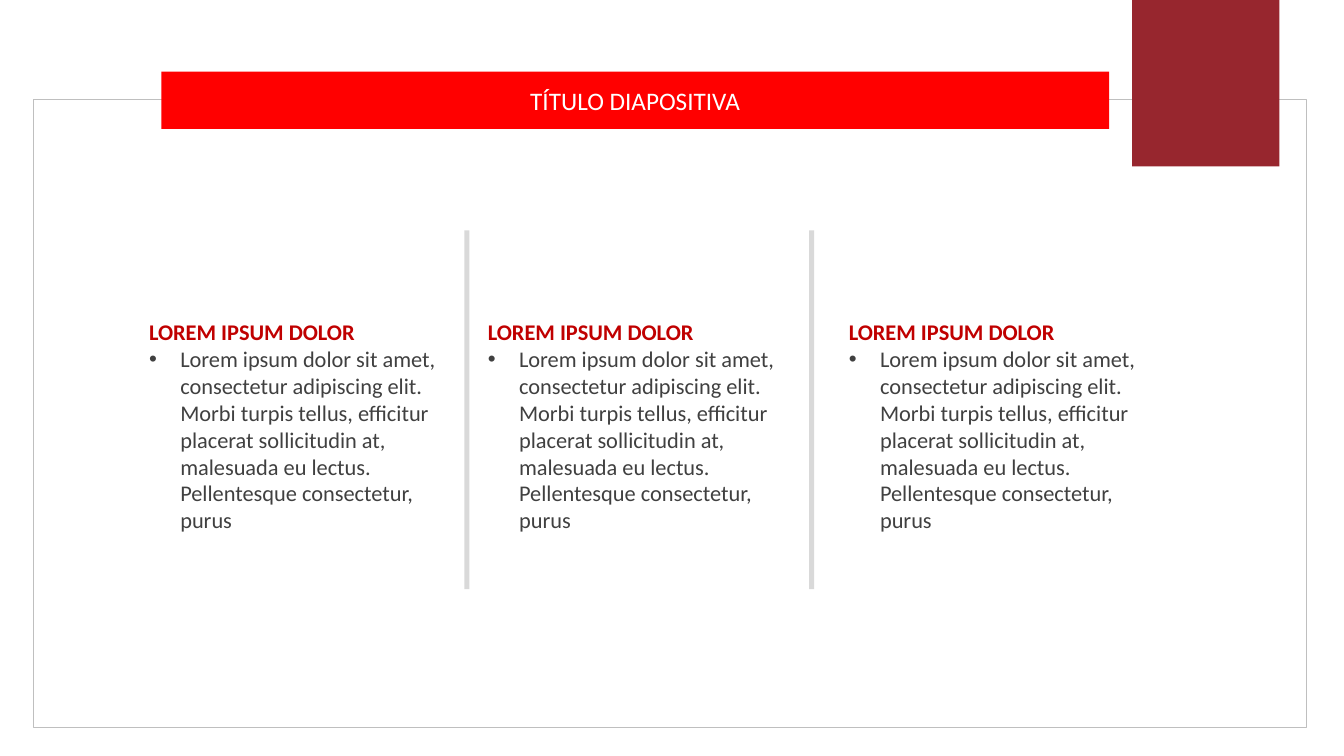
from dataclasses import dataclass
from typing import Any, Optional

import pptx
import pptx.dml.color
import pptx.enum.shapes
import pptx.enum.text
import pptx.oxml
import pptx.oxml.ns
import pptx.util

Inches = pptx.util.Inches
Pt = pptx.util.Pt


@dataclass(frozen=True)
class Theme:
    font: str = "Calibri"
    title_size: int = 18
    text_size: int = 16
    white: str = "FFFFFF"
    banner: str = "FF0000"
    ribbon: str = "97262E"
    heading: str = "C00000"
    body: str = "404040"
    divider: str = "D9D9D9"
    frame: str = "BFBFBF"


@dataclass(frozen=True)
class Block:
    left: float
    top: float
    width: float
    height: float
    fill: Optional[str] = None
    line: Optional[str] = None
    rotation: int = 0


THEME = Theme()
TITLE = "TÍTULO DIAPOSITIVA"
HEADING = "LOREM IPSUM DOLOR"
BODY = (
    "Lorem ipsum dolor sit amet, consectetur adipiscing elit. "
    "Morbi turpis tellus, efficitur placerat sollicitudin at, "
    "malesuada eu lectus. Pellentesque consectetur, purus"
)
BANNER = Block(1.6, 0.71, 9.4, 0.57, fill=THEME.banner)
FRAME = Block(0.33, 0.99, 12.63, 6.23, line=THEME.frame)
RIBBON = Block(11.23, -0.23, 1.46, 1.88, fill=THEME.ribbon)
DIVIDERS = [
    Block(left, 4.04, 3.56, 0.05, fill=THEME.divider, rotation=270)
    for left in (2.85, 6.27)
]
COLUMNS = [Block(left, 3.11, 3.25, 2.26) for left in (1.38, 4.74, 8.32)]
BULLET_INDENT = 0.31


def rgb(colour: str) -> pptx.dml.color.RGBColor:
    return pptx.dml.color.RGBColor.from_string(colour)


def bounds(block: Block) -> tuple:
    return tuple(
        Inches(value)
        for value in (block.left, block.top, block.width, block.height)
    )


def apply_format(target: Any, values: dict) -> None:
    for name, value in values.items():
        setattr(target, name, value)


def format_font(font: Any, size: int, colour: str, bold: bool = False) -> None:
    apply_format(font, {"name": THEME.font, "size": Pt(size), "bold": bold})
    font.color.rgb = rgb(colour)


def add_block(page: Any, block: Block) -> None:
    shape = page.shapes.add_shape(
        pptx.enum.shapes.MSO_SHAPE.RECTANGLE, *bounds(block)
    )
    shape.shadow.inherit = False
    shape.rotation = block.rotation
    if block.fill:
        shape.fill.solid()
        shape.fill.fore_color.rgb = rgb(block.fill)
    else:
        shape.fill.background()
    if block.line:
        shape.line.color.rgb = rgb(block.line)
        shape.line.width = Pt(1)
    else:
        shape.line.fill.background()


def add_bullet(para: Any) -> None:
    properties = para._p.get_or_add_pPr()
    indent = Inches(BULLET_INDENT)
    properties.set("marL", str(indent))
    properties.set("indent", str(-indent))
    namespace = pptx.oxml.ns.nsdecls("a")
    for tag in ('buFont typeface="Arial"', 'buChar char="•"'):
        properties.append(pptx.oxml.parse_xml(f"<a:{tag[:6]} {namespace}{tag[6:]}/>"))


def add_column(page: Any, column: Block) -> None:
    box = page.shapes.add_textbox(*bounds(column))
    frame = box.text_frame
    apply_format(frame, {
        "word_wrap": True,
        "auto_size": pptx.enum.text.MSO_AUTO_SIZE.SHAPE_TO_FIT_TEXT,
    })
    heading = frame.paragraphs[0]
    heading.text = HEADING
    format_font(heading.runs[0].font, THEME.text_size, THEME.heading, bold=True)
    body = frame.add_paragraph()
    add_bullet(body)
    body.text = BODY
    format_font(body.runs[0].font, THEME.text_size, THEME.body)


def format_title(page: Any) -> None:
    """Turn the title placeholder into the banner, in front of the frame."""
    title = page.shapes.title
    names = ("left", "top", "width", "height")
    apply_format(title, dict(zip(names, bounds(BANNER))))
    title.fill.solid()
    title.fill.fore_color.rgb = rgb(BANNER.fill)
    title.line.fill.background()
    title.text_frame.text = TITLE
    apply_format(title.text_frame, {
        "word_wrap": True,
        "auto_size": pptx.enum.text.MSO_AUTO_SIZE.NONE,
        "vertical_anchor": pptx.enum.text.MSO_ANCHOR.MIDDLE,
    })
    para = title.text_frame.paragraphs[0]
    para.alignment = pptx.enum.text.PP_ALIGN.CENTER
    format_font(para.runs[0].font, THEME.title_size, THEME.white)
    title.element.getparent().append(title.element)


def main() -> None:
    deck = pptx.Presentation()
    deck.slide_width = Inches(13.33)
    deck.slide_height = Inches(7.5)
    page = deck.slides.add_slide(deck.slide_layouts.get_by_name("Title Only"))
    for block in (FRAME, RIBBON, *DIVIDERS):
        add_block(page, block)
    format_title(page)
    for column in COLUMNS:
        add_column(page, column)
    deck.save("out.pptx")


if __name__ == "__main__":
    main()
